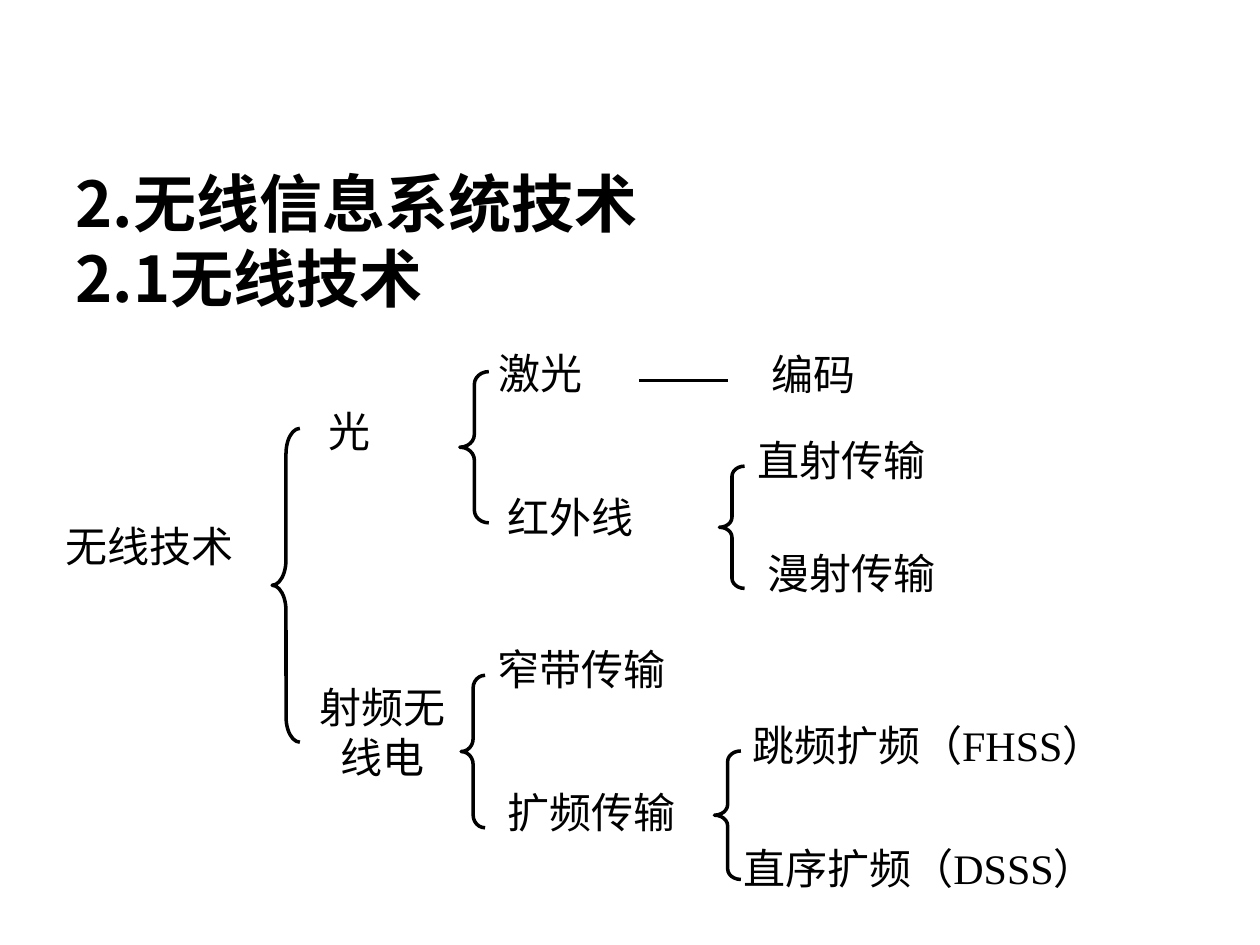
from dataclasses import dataclass

from lxml import etree
from pptx import Presentation
from pptx.dml.color import RGBColor
from pptx.enum import shapes, text
from pptx.oxml import ns
from pptx.util import Inches, Pt


@dataclass(frozen=True)
class Theme:
    ink: RGBColor = RGBColor(0, 0, 0)
    latin: str = "Times New Roman"
    asian: str = "Noto Sans CJK SC"
    head: int = 36
    body: int = 24
    line: int = 2


THEME = Theme()
ALIGN = text.PP_ALIGN

# left, top, width, height, words
LABELS = [
    (0.52, 4.08, 1.61, 0.46, "无线技术"),
    (2.61, 3.17, 0.6, 0.41, "光"),
    (3.96, 2.71, 0.96, 0.73, "激光"),
    (6.12, 2.72, 1.05, 0.73, "编码"),
    (4.03, 3.85, 1.19, 0.72, "红外线"),
    (6.01, 3.4, 1.64, 0.58, "直射传输"),
    (6.09, 4.3, 1.6, 0.66, "漫射传输"),
    (3.95, 5.06, 1.49, 0.73, "窄带传输"),
    (4.03, 6.19, 1.64, 0.73, "扩频传输"),
    (5.97, 5.66, 3.14, 0.53, "跳频扩频（FHSS）"),
    (5.9, 6.64, 3.14, 0.53, "直序扩频（DSSS）"),
]

# left, top, width, height, curl
BRACES = [
    (2.16, 3.4, 0.22, 2.49, 0.92),
    (3.65, 2.95, 0.23, 1.2, 0.44),
    (5.71, 3.7, 0.2, 0.97, 0.4),
    (3.66, 5.36, 0.19, 1.21, 0.53),
    (5.67, 5.96, 0.21, 1.02, 0.4),
]


def write(frame, words, size=THEME.body, font=THEME.latin, bold=False,
          align=ALIGN.JUSTIFY, pitch=None, gap=0):
    """Fill a frame with one paragraph for each line of words."""
    frame.word_wrap = True
    frame.auto_size = text.MSO_AUTO_SIZE.NONE
    frame.vertical_anchor = text.MSO_ANCHOR.TOP
    for i, part in enumerate(words.split("\n")):
        para = frame.add_paragraph() if i else frame.paragraphs[0]
        para.alignment = align
        para.space_before = Pt(gap if i else 0)
        if pitch:
            para.line_spacing = pitch
        run = para.add_run()
        run.text = part
        run.font.size = Pt(size)
        run.font.bold = bold
        run.font.color.rgb = THEME.ink
        run.font.name = font
        asian = etree.SubElement(run.font._element, ns.qn("a:ea"))
        asian.set("typeface", THEME.asian)


def add_title(slide, words):
    title = slide.shapes.title
    title.left, title.top = Inches(0.5), Inches(1.33)
    title.width, title.height = Inches(9), Inches(1.45)
    write(title.text_frame, words, size=THEME.head, font=THEME.asian,
          bold=True, align=ALIGN.LEFT, pitch=0.88, gap=5)


def add_label(slide, box, words, **style):
    frame = slide.shapes.add_textbox(*map(Inches, box)).text_frame
    frame.margin_left = frame.margin_right = 0
    write(frame, words, **style)


def ink_line(line):
    line.color.rgb = THEME.ink
    line.width = Pt(THEME.line)


def add_brace(slide, box, curl):
    kind = shapes.MSO_SHAPE.LEFT_BRACE
    brace = slide.shapes.add_shape(kind, *map(Inches, box))
    brace.adjustments[0] = curl
    brace.shadow.inherit = False
    brace.fill.background()
    ink_line(brace.line)


def add_link(slide, *ends):
    link = slide.shapes.add_connector(
        shapes.MSO_CONNECTOR.STRAIGHT, *map(Inches, ends))
    ink_line(link.line)
    etree.SubElement(link._element.spPr, ns.qn("a:effectLst"))


def main():
    deck = Presentation()
    deck.slide_width, deck.slide_height = Inches(10), Inches(7.5)
    slide = deck.slides.add_slide(deck.slide_layouts[5])
    add_title(slide, "2.无线信息系统技术\n2.1无线技术")
    for *box, curl in BRACES:
        add_brace(slide, box, curl)
    for *box, words in LABELS:
        add_label(slide, box, words)
    add_label(slide, (2.39, 5.36, 1.29, 1.11), "射频无线电", align=ALIGN.CENTER)
    add_link(slide, 5.07, 3.02, 5.78, 3.02)
    deck.save("out.pptx")


if __name__ == "__main__":
    main()
